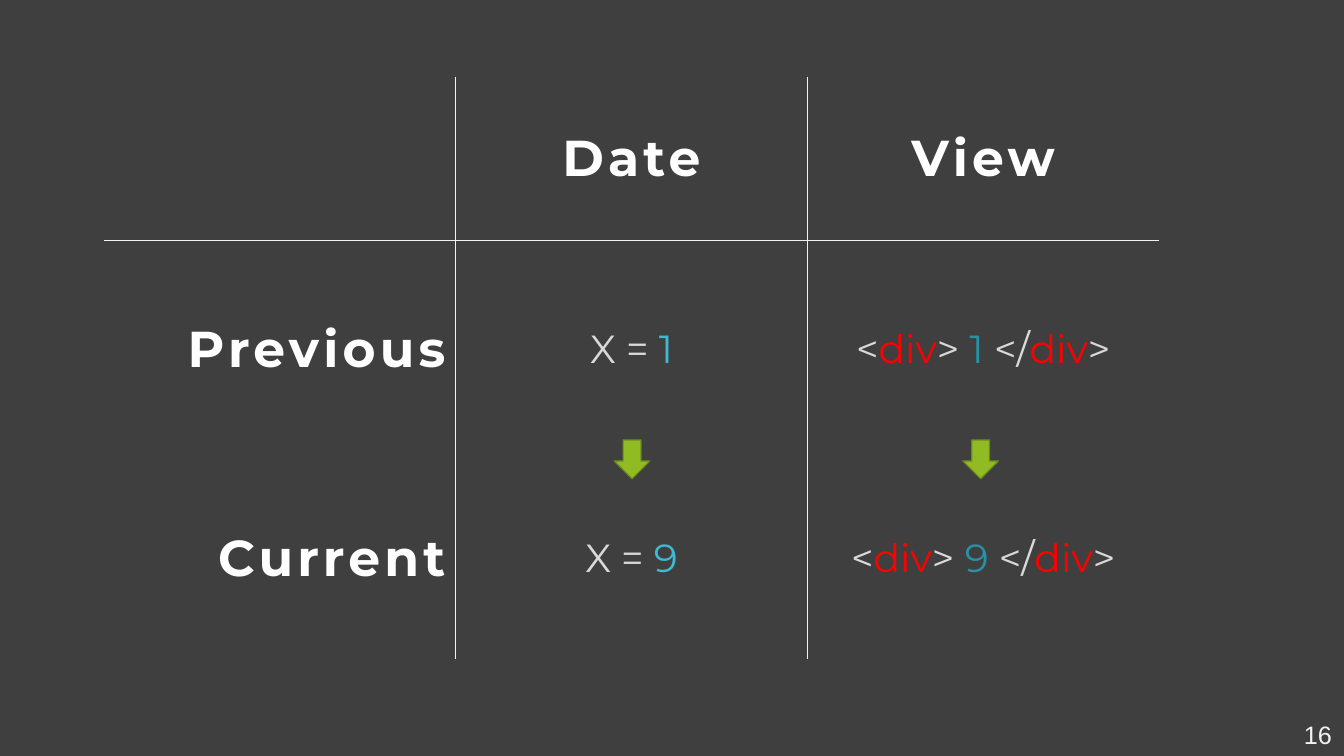
from dataclasses import dataclass

from lxml.etree import SubElement
from pptx import Presentation
from pptx.dml.color import RGBColor
from pptx.enum.shapes import MSO_SHAPE
from pptx.enum.text import MSO_ANCHOR, PP_ALIGN
from pptx.oxml.ns import qn
from pptx.util import Emu, Pt


@dataclass(frozen=True)
class Theme:
    background: str = "3F3F3F"
    heading: str = "FFFFFF"
    body: str = "D9D9D9"
    state: str = "40BAD2"
    rendered: str = "2791A6"
    tag: str = "FF0000"
    rule: str = "F2F2F2"
    arrow: str = "90BB23"
    arrow_edge: str = "6B8A1A"
    font: str = "Montserrat"
    number_font: str = "Arial"
    heading_size: int = 36
    body_size: int = 28
    number_size: int = 18


def px(n):
    return Emu(n * 9525)


def rgb(code):
    return RGBColor.from_string(code)


def write(tf, runs, font, size, align, bold=False, spacing=0):
    """Write one paragraph from (text, colour) pairs."""
    p = tf.paragraphs[0]
    p.alignment = align
    for text, color in runs:
        r = p.add_run()
        r.text = text
        r.font.name = font
        r.font.size = Pt(size)
        r.font.bold = bold
        r.font.color.rgb = rgb(color)
        if spacing:
            r.font._element.set("spc", str(spacing * 100))


class SlideBuilder:
    def __init__(self, prs, theme):
        self.theme = theme
        self.s = prs.slides.add_slide(prs.slide_layouts[6])
        fill = self.s.background.fill
        fill.solid()
        fill.fore_color.rgb = rgb(theme.background)

    def text(self, x, y, w, h, text, color, **fmt):
        tf = self.s.shapes.add_textbox(*map(px, (x, y, w, h))).text_frame
        tf.word_wrap = True
        tf.vertical_anchor = MSO_ANCHOR.MIDDLE
        write(tf, [(text, color)], **fmt)

    def border(self, cell, side, visible):
        ln = SubElement(cell._tc.get_or_add_tcPr(), qn(f"a:ln{side}"), w=str(Pt(0.75)))
        if visible:
            fill = SubElement(ln, qn("a:solidFill"))
            SubElement(fill, qn("a:srgbClr"), val=self.theme.rule)
        else:
            SubElement(ln, qn("a:noFill"))

    def table(self, x, y, col_width, row_heights, rows):
        t = self.theme
        n_cols = len(rows[0])
        table = self.s.shapes.add_table(
            len(rows), n_cols, px(x), px(y), px(col_width * n_cols), px(sum(row_heights))
        ).table
        table.first_row = table.horz_banding = False
        for col in table.columns:
            col.width = px(col_width)
        for i, (height, row) in enumerate(zip(row_heights, rows)):
            table.rows[i].height = px(height)
            for j, runs in enumerate(row):
                cell = table.cell(i, j)
                cell.vertical_anchor = MSO_ANCHOR.MIDDLE
                # Rules only between columns and below the header
                sides = {"L": j > 0, "R": j < n_cols - 1, "T": i == 1, "B": i == 0}
                for side, visible in sides.items():
                    self.border(cell, side, visible)
                cell.fill.background()
                heading = i == 0 or j == 0
                write(
                    cell.text_frame, runs, t.font,
                    size=t.heading_size if heading else t.body_size,
                    align=PP_ALIGN.CENTER if j else PP_ALIGN.RIGHT,
                    bold=heading, spacing=3 if heading else 0,
                )

    def down_arrow(self, x, y, w, h):
        sp = self.s.shapes.add_shape(MSO_SHAPE.DOWN_ARROW, *map(px, (x, y, w, h)))
        sp.shadow.inherit = False
        sp.fill.solid()
        sp.fill.fore_color.rgb = rgb(self.theme.arrow)
        sp.line.color.rgb = rgb(self.theme.arrow_edge)
        sp.line.width = Pt(0.85)


def main():
    prs = Presentation()
    prs.slide_width, prs.slide_height = px(1280), px(720)
    t = Theme()
    slide = SlideBuilder(prs, t)

    # Slide number
    slide.text(1118, 680, 160, 38, "16", t.rule, font=t.number_font,
               size=t.number_size, align=PP_ALIGN.RIGHT)

    # Comparison table
    def heading(text):
        return [(text, t.heading)]

    def state_row(name, value):
        return [
            heading(name),
            [("X = ", t.body), (value, t.state)],
            [("<", t.body), ("div", t.tag), ("> ", t.body), (value, t.rendered),
             (" </", t.body), ("div", t.tag), (">", t.body)],
        ]

    rows = [
        [[], heading("Date"), heading("View")],
        state_row("Previous", "1"),
        state_row("Current", "9"),
    ]
    slide.table(99, 73, 335, (156, 207, 192), rows)

    # Change arrows
    for x in (585, 917):
        slide.down_arrow(x, 419, 34, 37)

    prs.save("out.pptx")


if __name__ == "__main__":
    main()
